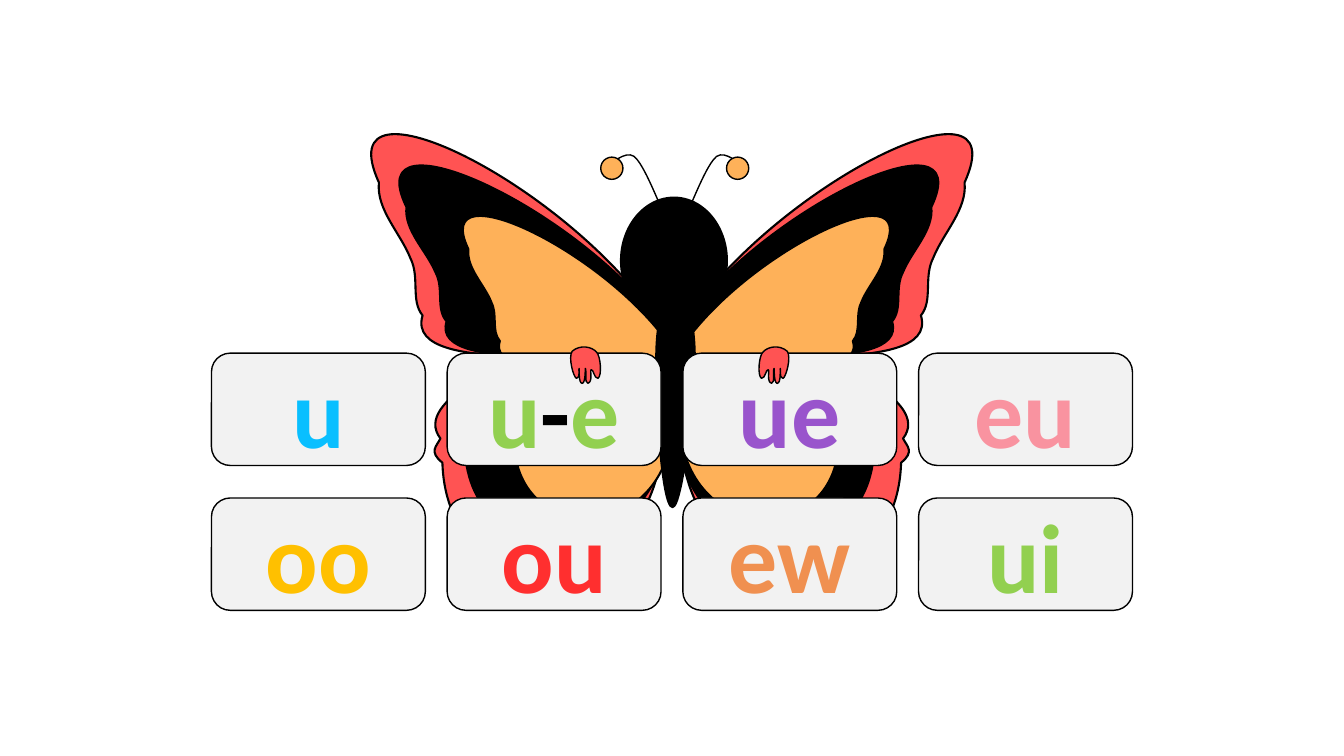
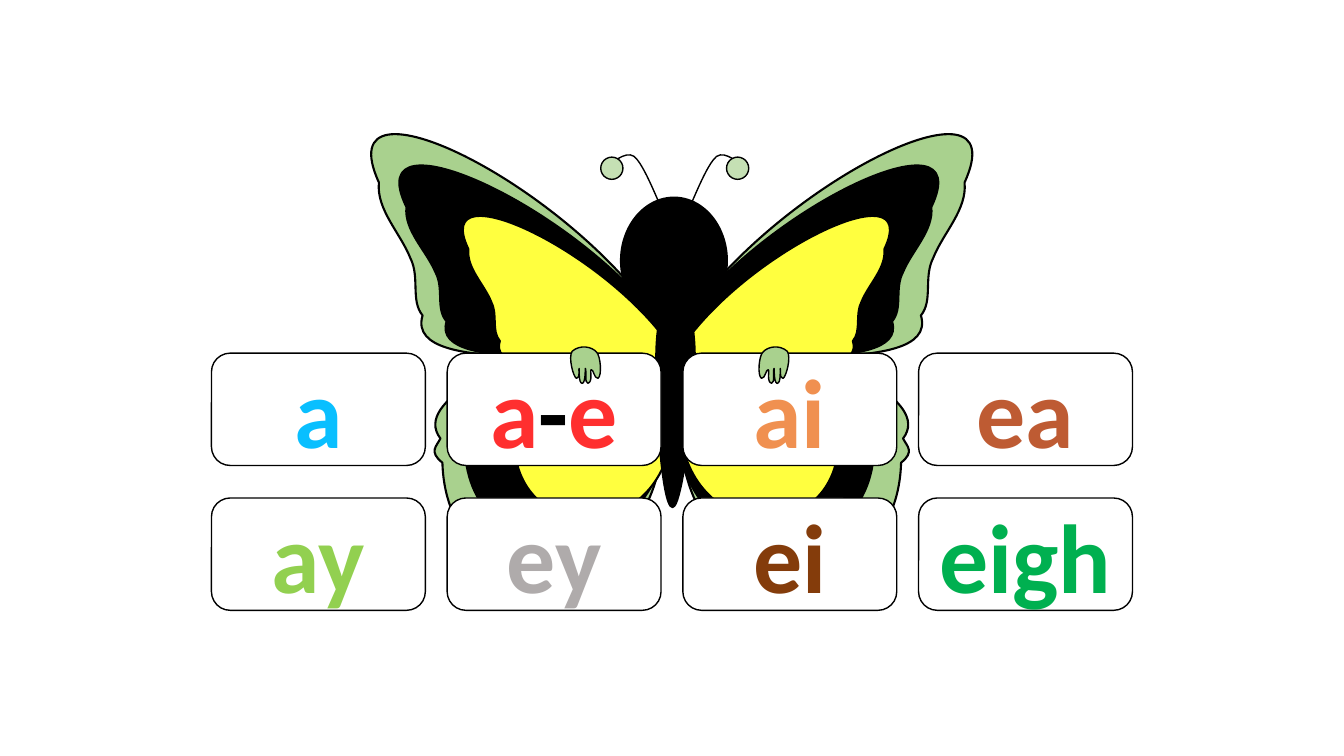
"""Build two butterfly slides with vowel spelling cards."""
import lxml.etree
import pptx
import pptx.dml.color
import pptx.enum.shapes
import pptx.enum.text
import pptx.oxml
import pptx.oxml.ns
import pptx.util

Cm = pptx.util.Cm
Pt = pptx.util.Pt
qn = pptx.oxml.ns.qn
hex_color = pptx.dml.color.RGBColor.from_string
OVAL = pptx.enum.shapes.MSO_SHAPE.OVAL
CARD = pptx.enum.shapes.MSO_SHAPE.ROUNDED_RECTANGLE
BLACK = "000000"
CURVE_STEPS = 12

WING = [
    (0.2, 1.22), (-1.19, -1.83), (5.21, 1.37), (7.42, 5),
    (7.42, 5), (7.37, 7.49), (7.37, 7.49),
    (7.21, 12.04), (1.91, 12.14), (1.8, 8.28),
    (1.45, 8), (1.65, 7.87), (1.75, 7.67),
    (0.99, 6.68), (3.84, 5.69), (3.56, 5.61),
    (2.49, 5.54), (1.04, 5.44), (1.3, 4.57),
    (0.99, 4.19), (1.24, 3.61), (0.99, 3.12),
    (0.74, 2.49), (0.13, 1.9), (0.2, 1.22),
]
BODY = [
    (0, 1.73), (0, 0.81), (0.2, 0), (0.48, 0),
    (0.74, 0), (0.97, 0.76), (0.97, 1.73),
    (0.97, 2.67), (0.66, 5.49), (0.41, 5.49),
    (0.13, 5.49), (-0.03, 2.64), (0, 1.73),
]
ANTENNA = [
    (0, 1.27), (0.23, 0.74), (0.46, 0.2), (0.66, 0.03),
    (0.89, -0.13), (1.27, 0.25), (1.27, 0.25),
]
HAND = [
    (0.05, 0.66), (-0.03, 0.56), (0.18, 0.1), (0.3, 0.05),
    (0.46, -0.05), (0.76, 0), (0.89, 0.23),
    (0.94, 0.41), (0.64, 0.84), (0.56, 0.84),
    (0.46, 0.79), (0.61, 0.58), (0.58, 0.58),
    (0.56, 0.61), (0.48, 0.94), (0.38, 0.91),
    (0.3, 0.86), (0.46, 0.48), (0.43, 0.53),
    (0.38, 0.58), (0.33, 0.89), (0.25, 0.86),
    (0.13, 0.79), (0.33, 0.51), (0.28, 0.51),
    (0.23, 0.48), (0.15, 0.69), (0.05, 0.66),
]

BUTTERFLIES = [
    {
        "edge": "FF5353", "inner": "FEB159", "tip": "FEB159", "card": "F2F2F2",
        "spellings": [
            ("u", "09BFFF"), ("u-e", "92D050"), ("ue", "9954CC"), ("eu", "F993A0"),
            ("oo", "FFC000"), ("ou", "FF2F2F"), ("ew", "F09050"), ("ui", "92D050"),
        ],
    },
    {
        "edge": "A9D18E", "inner": "FFFF3F", "tip": "C5E0B4", "card": "FFFFFF",
        "spellings": [
            ("a", "09BFFF"), ("a-e", "FF2F2F"), ("ai", "F09050"), ("ea", "BE5B33"),
            ("ay", "92D050"), ("ey", "AFABAB"), ("ei", "843C0B"), ("eigh", "00B050"),
        ],
    },
]


def paint(shape, fill, weight):
    """Give a shape its fill and black outline, without a shadow."""
    shape.shadow.inherit = False
    if fill:
        shape.fill.solid()
        shape.fill.fore_color.rgb = hex_color(fill)
    else:
        shape.fill.background()
    shape.line.color.rgb = hex_color(BLACK)
    shape.line.width = Pt(weight)
    return shape


def add_outline(shapes, curve, x, y, fill, weight, stretch_x=1, stretch_y=1):
    """Draw a chain of cubic curves; a negative stretch_x mirrors it."""
    knots = [(Cm(x + stretch_x * px), Cm(y + stretch_y * py)) for px, py in curve]
    edge = []
    for first in range(0, len(knots) - 1, 3):
        for step in range(1, CURVE_STEPS + 1):
            t = step / CURVE_STEPS
            weights = ((1 - t) ** 3, 3 * t * (1 - t) ** 2, 3 * t * t * (1 - t), t ** 3)
            edge.append(tuple(
                round(sum(w * knot[axis] for w, knot in zip(weights, knots[first:first + 4])))
                for axis in (0, 1)
            ))
    builder = shapes.build_freeform(*knots[0], scale=1.0)
    builder.add_line_segments(edge, close=False)
    outline = builder.convert_to_shape()
    route = outline._element.find(".//" + qn("a:path"))
    for straight in route.findall(qn("a:lnTo")):
        route.remove(straight)
    for first in range(1, len(knots), 3):
        bend = lxml.etree.SubElement(route, qn("a:cubicBezTo"))
        for px, py in knots[first:first + 3]:
            lxml.etree.SubElement(
                bend, qn("a:pt"), x=str(px - outline.left), y=str(py - outline.top)
            )
    if curve[0] == curve[-1]:
        lxml.etree.SubElement(route, qn("a:close"))
    return paint(outline, fill, weight)


deck = pptx.Presentation()
deck.slide_width = Cm(33.87)
deck.slide_height = Cm(19.05)

for butterfly in BUTTERFLIES:
    slide = deck.slides.add_slide(deck.slide_layouts[6])

    insect = slide.shapes.add_group_shape().shapes
    for color, top, height_scale, sides in (
        (butterfly["edge"], 3.38, 1, ((9.35, 1), (24.51, -1))),
        (BLACK, 4.17, 0.86, ((10.06, 0.92), (23.65, -0.9))),
        (butterfly["inner"], 5.44, 0.69, ((11.66, 0.72), (22.43, -0.72))),
    ):
        for outer_x, width_scale in sides:
            add_outline(insect, WING, outer_x, top, color, 1.5, width_scale, height_scale)
    add_outline(insect, BODY, 16.54, 7.29, BLACK, 1.5)
    paint(insect.add_shape(OVAL, Cm(15.65), Cm(4.98), Cm(2.67), Cm(3.18)), BLACK, 1.5)
    for root_x, tip_x, direction in ((17.4, 18.31, 1), (16.64, 15.14, -1)):
        add_outline(insect, ANTENNA, root_x, 3.91, None, 1, direction)
        tip = insect.add_shape(OVAL, Cm(tip_x), Cm(3.96), Cm(0.56), Cm(0.56))
        paint(tip, butterfly["tip"], 1)

    for index, (spelling, color) in enumerate(butterfly["spellings"]):
        row, column = divmod(index, 4)
        card = slide.shapes.add_shape(
            CARD, Cm(5.33 + 5.94 * column), Cm(8.9 + 3.65 * row), Cm(5.39), Cm(2.83)
        )
        paint(card, butterfly["card"], 1)
        card.text_frame.vertical_anchor = pptx.enum.text.MSO_ANCHOR.MIDDLE
        paragraph = card.text_frame.paragraphs[0]
        paragraph.alignment = pptx.enum.text.PP_ALIGN.CENTER
        for part in filter(None, spelling.partition("-")):
            run = paragraph.add_run()
            run.text = part
            run.font.name = "Calibri"
            run.font.size = Pt(69.9)
            run.font.bold = True
            run.font.color.rgb = hex_color(BLACK if part == "-" else color)
            run.font._element.insert(0, pptx.oxml.parse_xml(
                f'<a:ln {pptx.oxml.ns.nsdecls("a")} w="{Pt(0.75)}"><a:solidFill>'
                f'<a:srgbClr val="{BLACK}"/></a:solidFill></a:ln>'
            ))

    for hand_x, direction in ((19.05, 1), (15.21, -1)):
        hand = add_outline(slide.shapes, HAND, hand_x, 8.75, butterfly["edge"], 1, direction)
        hand.rotation = -19.3 * direction

deck.save("out.pptx")
